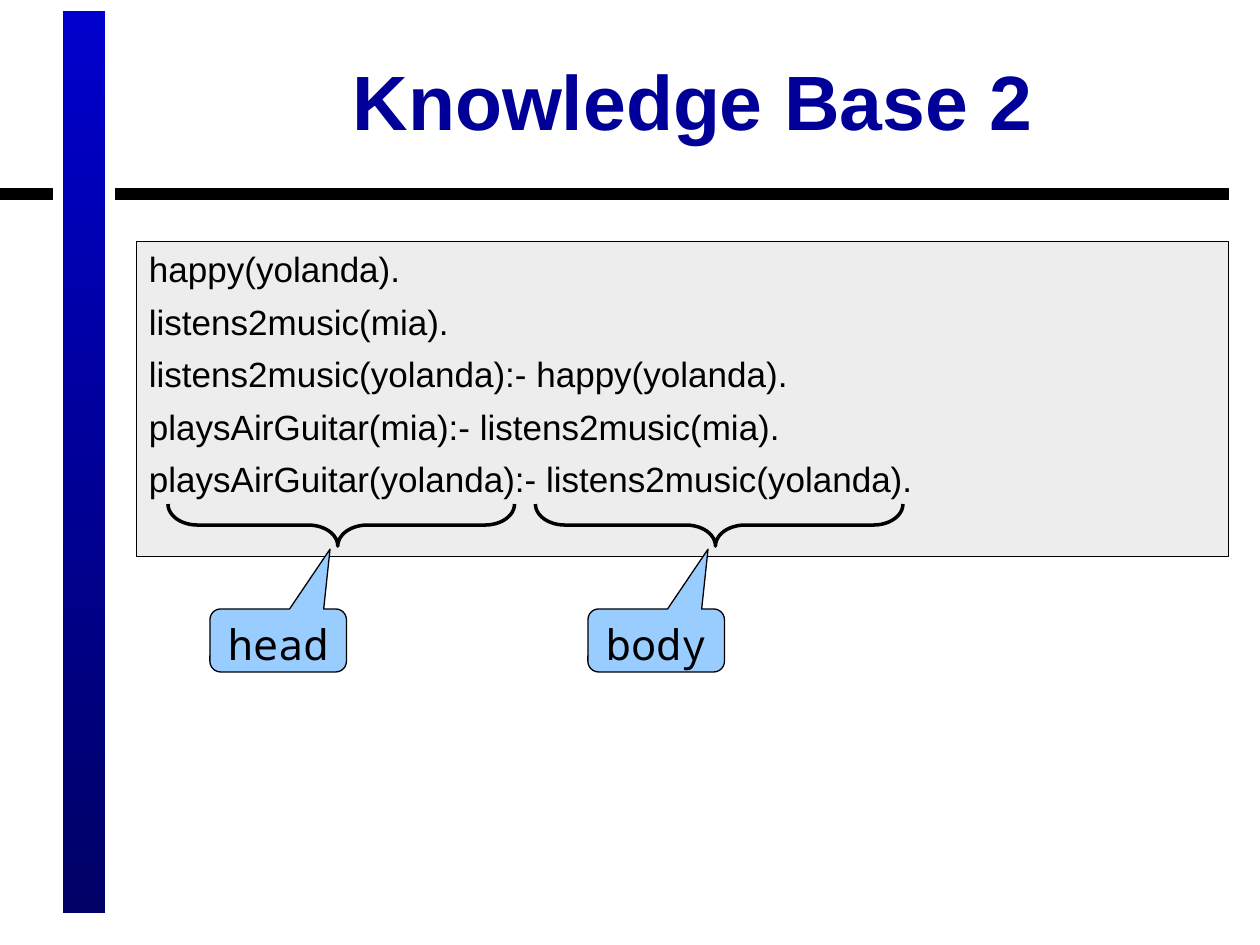
from lxml import etree
from pptx import Presentation
from pptx import util as u
from pptx.dml.color import RGBColor
from pptx.enum import shapes, text
from pptx.oxml.ns import qn

CELL = u.Inches(1) // 12
KINDS = shapes.MSO_SHAPE
CLAUSES = [
    "happy(yolanda).",
    "listens2music(mia).",
    "listens2music(yolanda):- happy(yolanda).",
    "playsAirGuitar(mia):- listens2music(mia).",
    "playsAirGuitar(yolanda):- listens2music(yolanda).",
]


def colour(value):
    """Turn a hex string into a colour."""
    return RGBColor.from_string(value)


def place(shape, box):
    """Put a shape on the grid at (column, row, columns, rows)."""
    shape.left, shape.top, shape.width, shape.height = (int(CELL * part) for part in box)


def paint(shape, fill=None, line=None, weight=0.75):
    """Set or clear the fill and line of a shape."""
    for part, value in ((shape.fill, fill), (shape.line.fill, line)):
        if value:
            part.solid()
            part.fore_color.rgb = colour(value)
        else:
            part.background()
    if line:
        shape.line.width = u.Pt(weight)


def add_shape(page, kind, box, **look):
    """Add a preset shape without shadow."""
    shape = page.shapes.add_shape(kind, 0, 0, 0, 0)
    place(shape, box)
    shape.shadow.inherit = False
    paint(shape, **look)
    return shape


def write(shape, lines, size, font="Arial", ink="000000", bold=False, before=0,
          align=text.PP_ALIGN.LEFT, anchor=text.MSO_ANCHOR.TOP):
    """Write one paragraph per line in a shape."""
    frame = shape.text_frame
    frame.word_wrap = True
    frame.auto_size = text.MSO_AUTO_SIZE.NONE
    frame.vertical_anchor = anchor
    frame.text = "\n".join(lines)
    for para in frame.paragraphs:
        para.alignment = align
        para.space_before = u.Pt(before)
        for span in para.runs:
            span.font.name, span.font.size, span.font.bold = font, u.Pt(size), bold
            span.font.color.rgb = colour(ink)


def draw_frame(page):
    """Draw the gradient bar and the two rules beside it."""
    bar = add_shape(page, KINDS.RECTANGLE, (6, 1, 4, 86))
    bar.fill.gradient()
    bar.fill.gradient_angle = 270
    for stop, value in zip(bar.fill.gradient_stops, ("0000CC", "000066")):
        stop.color.rgb = colour(value)
    for column, columns in ((11, 106), (0, 5)):
        add_shape(page, KINDS.RECTANGLE, (column, 18, columns, 1),
                  fill="000000", line="000000")


def draw_title(page, box):
    """Place and format the title."""
    title = page.shapes.title
    place(title, box)
    paint(title, fill="FFFFFF", line="FFFFFF")
    write(title, ["Knowledge Base 2"], 44, ink="000099", bold=True,
          align=text.PP_ALIGN.CENTER, anchor=text.MSO_ANCHOR.MIDDLE)


def draw_clauses(page, box):
    """Draw the half-transparent panel of clauses."""
    panel = add_shape(page, KINDS.RECTANGLE, box, fill="DDDDDD", line="000000")
    tint = next(panel.fill._xPr.iter(qn("a:srgbClr")))
    etree.SubElement(tint, qn("a:alpha"), val="50000")
    write(panel, CLAUSES, 20, before=6)


def draw_brace(page, box, point):
    """Draw a brace whose point is down, at a share of its width."""
    column, row, columns, rows = box
    shift = (columns - rows) / 2
    brace = add_shape(page, KINDS.LEFT_BRACE,
                      (column + shift, row - shift, rows, columns),
                      line="000000", weight=2)
    brace.rotation = 270
    brace.adjustments[0], brace.adjustments[1] = 0.7, point


def draw_callout(page, box, label):
    """Draw a callout that points up to a brace."""
    callout = add_shape(page, KINDS.ROUNDED_RECTANGULAR_CALLOUT, box,
                        fill="99CCFF", line="000000")
    for index, value in enumerate((0.38, -1.45, 0.17)):
        callout.adjustments[index] = value
    write(callout, [label], 24, font="Noto Sans Mono", before=6,
          align=text.PP_ALIGN.CENTER)


def main():
    """Build and save the slide."""
    deck = Presentation()
    deck.slide_width, deck.slide_height = CELL * 120, CELL * 90
    page = deck.slides.add_slide(deck.slide_layouts[5])
    draw_frame(page)
    draw_title(page, (13, 2, 106, 15))
    draw_clauses(page, (13, 23, 104, 30))
    for label, start, columns, column in (("head", 16, 33, 20), ("body", 51, 35, 56)):
        draw_callout(page, (column, 58, 13, 6), label)
        draw_brace(page, (start, 48, columns, 4), 0.49)
    deck.save("out.pptx")


if __name__ == "__main__":
    main()
